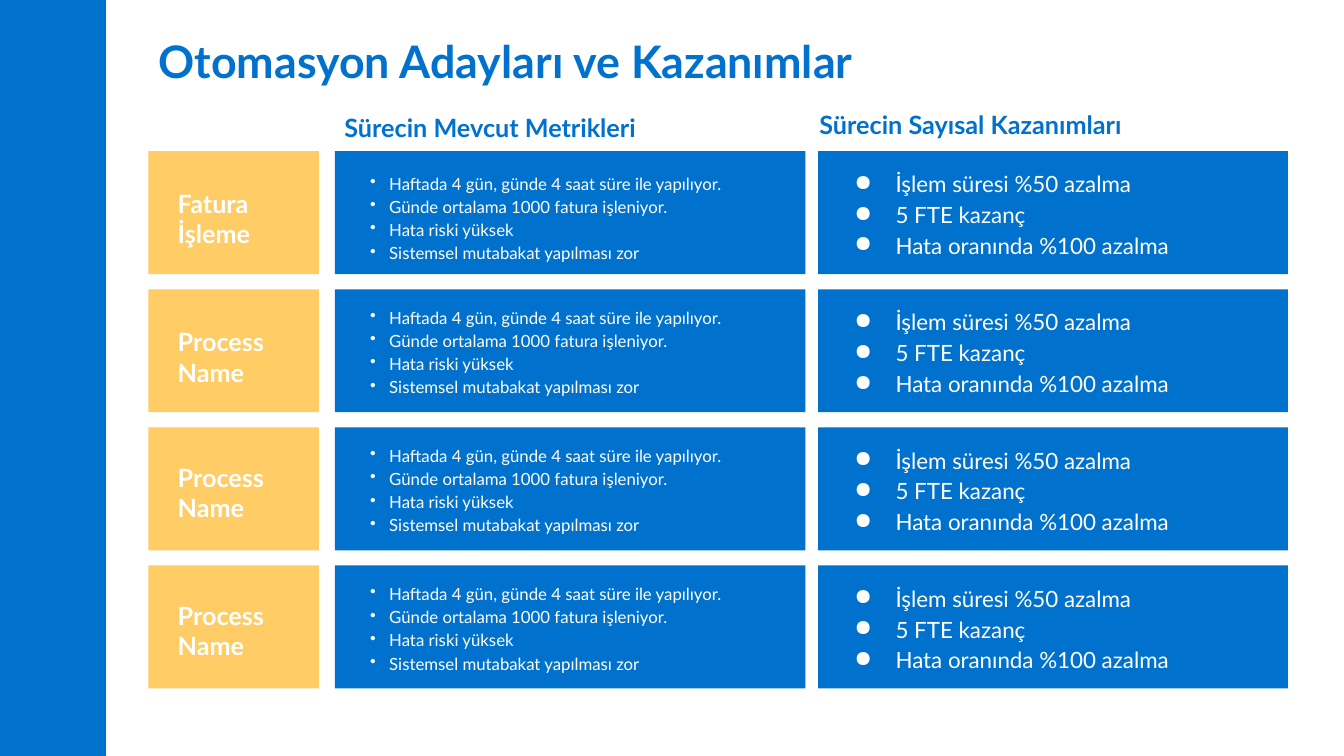
from lxml import etree
from pptx import Presentation
from pptx import util as u
from pptx.dml.color import RGBColor
from pptx.enum import shapes, text
from pptx.oxml.ns import qn

BLUE, YELLOW, WHITE = "0072CE", "FFCC66", "FFFFFF"


def paint(fmt, color):
    """Give a fill or a font a solid colour."""
    if hasattr(fmt, "solid"):
        fmt.solid()
        fmt.fore_color.rgb = RGBColor.from_string(color)
    else:
        fmt.color.rgb = RGBColor.from_string(color)


def write(tf, lines, size, color, bold=False, spacing=None, bullet=None):
    """Fill a text frame; bullet is (character, left margin, hanging indent)."""
    tf.word_wrap = True
    for i, line in enumerate(lines):
        p = tf.paragraphs[0] if i == 0 else tf.add_paragraph()
        if bullet:
            char, margin, hanging = bullet
            pPr = p._p.get_or_add_pPr()
            pPr.set("marL", str(u.Cm(margin)))
            pPr.set("indent", str(-u.Cm(hanging)))
            bu_color = etree.SubElement(pPr, qn("a:buClr"))
            etree.SubElement(bu_color, qn("a:srgbClr"), val=color)
            etree.SubElement(pPr, qn("a:buChar"), char=char)
        p.alignment = text.PP_ALIGN.LEFT
        if spacing:
            p.line_spacing = spacing
        r = p.add_run()
        r.text = line
        for name, value in {"name": "Lato", "size": u.Pt(size), "bold": bold}.items():
            setattr(r.font, name, value)
        paint(r.font, color)


prs = Presentation()
prs.slide_width, prs.slide_height = u.Cm(33.87), u.Cm(19.05)
s = prs.slides.add_slide(prs.slide_layouts[5])

# Title
title = s.shapes.title
title.left, title.top, title.width, title.height = map(u.Cm, (3.99, 0.99, 29.21, 1.22))
tf = title.text_frame
for name, value in {"margin_left": 0, "margin_top": 0, "margin_right": 0, "margin_bottom": 0,
                    "vertical_anchor": text.MSO_ANCHOR.MIDDLE,
                    "auto_size": text.MSO_AUTO_SIZE.NONE}.items():
    setattr(tf, name, value)
write(tf, ["Otomasyon Adayları ve Kazanımlar"], 32, BLUE, bold=True, spacing=0.9)

# Column headings
for heading, left, top in (("Sürecin Mevcut Metrikleri", 8.43, 2.57),
                           ("Sürecin Sayısal Kazanımları", 20.4, 2.51)):
    tf = s.shapes.add_textbox(u.Cm(left), u.Cm(top), u.Cm(11.91), u.Cm(1.37)).text_frame
    tf.margin_top = tf.margin_bottom = u.Cm(0.25)
    write(tf, [heading], 18, BLUE, bold=True)

# Text of the cards
names = [["Fatura İşleme"]] + [["Process", "Name"]] * 3
metrics = ["Haftada 4 gün, günde 4 saat süre ile yapılıyor.",
           "Günde ortalama 1000 fatura işleniyor.",
           "Hata riski yüksek",
           "Sistemsel mutabakat yapılması zor"]
gains = ["İşlem süresi %50 azalma", "5 FTE kazanç", "Hata oranında %100 azalma"]
label_style = {"size": 18, "bold": True}
metric_style = {"size": 12, "spacing": 1.15, "bullet": ("•", 1.12, 0.48)}
gain_style = {"size": 16, "spacing": 1.15, "bullet": ("●", 1.7, 1.04)}

# Side bar, then one row of three cards per process:
# left, top, width, height, fill, lines, style, left inset, top inset
cards = [(0, 0, 2.67, 19.05, BLUE, [], {"size": 12}, 0.25, 0.13)]
for row, name in enumerate(names):
    top = 3.81 + 3.48 * row
    metric_inset = 0.33 if row == 0 else 0.13
    label_inset = 0.43 if row < 2 else 0.3
    cards += [
        (3.74, top, 4.3, 3.1, YELLOW, name, label_style, 0.74, label_inset),
        (8.44, top, 11.86, 3.1, BLUE, metrics, metric_style, 0.25, metric_inset),
        (20.62, top, 11.84, 3.1, BLUE, gains, gain_style, 0.25, 0.13),
    ]

for left, top, width, height, fill, lines, style, inset_left, inset_top in cards:
    sp = s.shapes.add_shape(shapes.MSO_SHAPE.RECTANGLE,
                            u.Cm(left), u.Cm(top), u.Cm(width), u.Cm(height))
    sp.shadow.inherit = False
    sp.line.fill.background()
    paint(sp.fill, fill)
    tf = sp.text_frame
    tf.vertical_anchor = text.MSO_ANCHOR.MIDDLE
    tf.margin_left, tf.margin_top = u.Cm(inset_left), u.Cm(inset_top)
    write(tf, lines, color=WHITE, **style)

prs.save("out.pptx")
